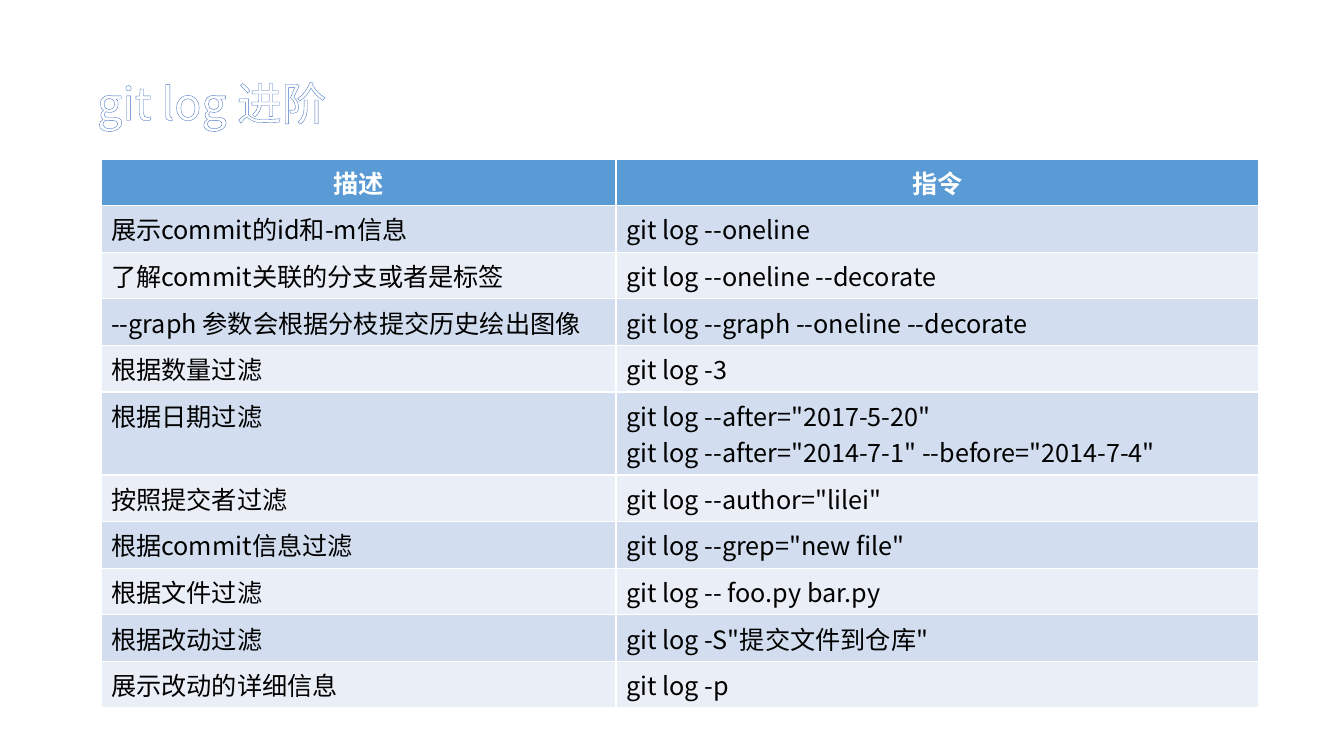
from lxml import etree
from pptx import Presentation
from pptx.dml.color import RGBColor
from pptx.enum.dml import MSO_PATTERN
from pptx.enum.text import MSO_ANCHOR, MSO_AUTO_SIZE, PP_ALIGN
from pptx.oxml import parse_xml
from pptx.oxml.ns import qn
from pptx.util import Emu, Pt

LEFT, CENTER = PP_ALIGN.LEFT, PP_ALIGN.CENTER
BOTTOM = MSO_ANCHOR.BOTTOM
NO_AUTOFIT = MSO_AUTO_SIZE.NONE
DIAGONAL = MSO_PATTERN.LIGHT_DOWNWARD_DIAGONAL

WHITE = RGBColor(0xFF, 0xFF, 0xFF)
BLACK = RGBColor(0x00, 0x00, 0x00)
HEADER_BLUE = RGBColor(0x5B, 0x9B, 0xD5)
BANDS = (RGBColor(0xD2, 0xDE, 0xEF), RGBColor(0xEA, 0xEF, 0xF7))
HATCH_BLUE = RGBColor(0x8F, 0xAA, 0xDC)
OUTLINE_BLUE = RGBColor(0x44, 0x72, 0xC4)

FONT = "Noto Sans CJK SC"
PX_PER_INCH = 100.8
TITLE_BOX = (87, 25, 433, 110)
TABLE_BOX = (101, 159, 1158, 491)
DESCRIPTION_WIDTH = 515

HEADINGS = ("描述", ("指令",))
COMMANDS = [
    ("展示commit的id和-m信息", ["git log --oneline"]),
    ("了解commit关联的分支或者是标签", ["git log --oneline --decorate"]),
    ("--graph 参数会根据分枝提交历史绘出图像",
     ["git log --graph --oneline --decorate"]),
    ("根据数量过滤", ["git log -3"]),
    ("根据日期过滤", ['git log --after="2017-5-20"',
                'git log --after="2014-7-1" --before="2014-7-4"']),
    ("按照提交者过滤", ['git log --author="lilei"']),
    ("根据commit信息过滤", ['git log --grep="new file"']),
    ("根据文件过滤", ["git log -- foo.py bar.py"]),
    ("根据改动过滤", ['git log -S"提交文件到仓库"']),
    ("展示改动的详细信息", ["git log -p"]),
]


def px(length):
    return Emu(round(length * 914400 / PX_PER_INCH))


def add_run(paragraph, text, size):
    """Add a run whose Latin and East Asian fonts are both FONT."""
    run = paragraph.add_run()
    run.text = text
    run.font.size = Pt(size)
    run.font.name = FONT
    etree.SubElement(run.font._element, qn("a:ea"), typeface=FONT)
    return run


def outline_text(run, color, width):
    line = parse_xml(
        '<a:ln xmlns:a="http://schemas.openxmlformats.org/drawingml/2006/main"'
        f' w="{Pt(width)}"><a:solidFill><a:srgbClr val="{color}"/>'
        '</a:solidFill></a:ln>')
    run.font._element.insert(0, line)


def fill_title(slide, box):
    title = slide.shapes.title
    title.left, title.top, title.width, title.height = map(px, box)
    frame = title.text_frame
    frame.auto_size = NO_AUTOFIT
    frame.vertical_anchor = BOTTOM
    heading = frame.paragraphs[0]
    heading.alignment = LEFT
    heading.line_spacing = 0.9
    run = add_run(heading, "git log 进阶", 32)
    hatch = run.font.fill
    hatch.patterned()
    hatch.pattern = DIAGONAL
    hatch.fore_color.rgb = HATCH_BLUE
    hatch.back_color.rgb = WHITE
    outline_text(run, OUTLINE_BLUE, 1)


def fill_cell(cell, lines, background, is_header):
    cell.fill.solid()
    cell.fill.fore_color.rgb = background
    frame = cell.text_frame
    for index, line in enumerate(lines):
        paragraph = frame.add_paragraph() if index else frame.paragraphs[0]
        paragraph.alignment = CENTER if is_header else LEFT
        run = add_run(paragraph, line, 18)
        run.font.bold = is_header
        run.font.color.rgb = WHITE if is_header else BLACK


def add_command_table(slide, box):
    rows = [HEADINGS, *COMMANDS]
    table = slide.shapes.add_table(len(rows), 2, *map(px, box)).table
    table.columns[0].width = px(DESCRIPTION_WIDTH)
    table.columns[1].width = px(box[2] - DESCRIPTION_WIDTH)
    for number, (description, commands) in enumerate(rows):
        is_header = number == 0
        background = HEADER_BLUE if is_header else BANDS[(number - 1) % 2]
        for column, lines in enumerate(([description], commands)):
            fill_cell(table.cell(number, column), lines, background, is_header)


def main():
    deck = Presentation()
    deck.slide_width, deck.slide_height = px(1344), px(756)
    slide = deck.slides.add_slide(deck.slide_layouts[5])
    fill_title(slide, TITLE_BOX)
    add_command_table(slide, TABLE_BOX)
    deck.save("out.pptx")


if __name__ == "__main__":
    main()
